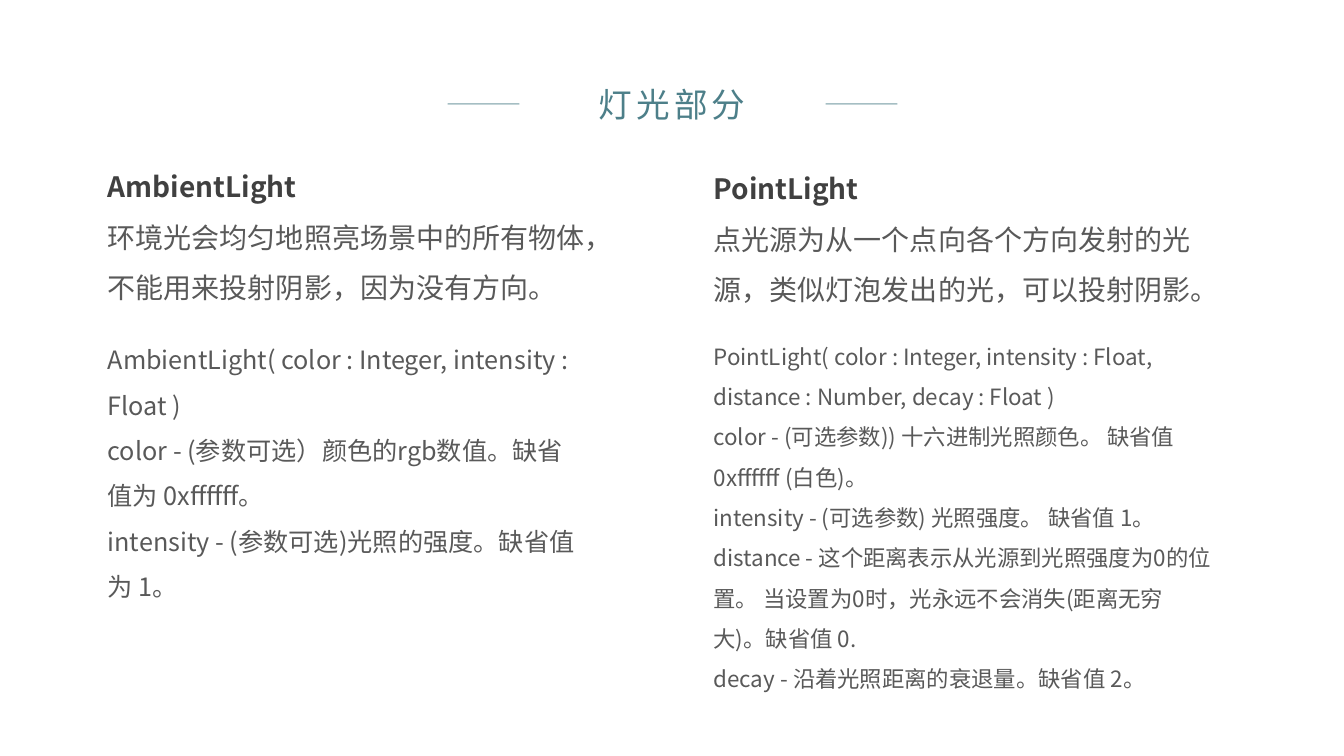
"""Build the slide on ambient light and point light."""
from dataclasses import dataclass

from lxml import etree
from pptx import Presentation
from pptx import util as u
from pptx.dml.color import RGBColor
from pptx.enum import shapes, text
from pptx.oxml import ns

FONT = "Noto Sans CJK SC"
TEAL, DARK, GREY = "4D7F89", "404040", "595959"


@dataclass
class Line:
    words: str
    size: int
    color: str = GREY
    bold: bool = False


@dataclass
class Block:
    left: float
    top: float
    width: float
    height: float
    lines: list[Line]


def paint(fmt, color: str) -> None:
    fmt.rgb = RGBColor.from_string(color)


def add_run(para, line: Line):
    run = para.add_run()
    run.text = line.words
    font = run.font
    font.name, font.size, font.bold = FONT, u.Pt(line.size), line.bold
    paint(font.color, line.color)
    etree.SubElement(run._r.get_or_add_rPr(), ns.qn("a:ea"), typeface=FONT)
    return run


def fill_box(box, block: Block, space: float) -> None:
    box.left, box.top = u.Inches(block.left), u.Inches(block.top)
    box.width, box.height = u.Inches(block.width), u.Inches(block.height)
    frame = box.text_frame
    frame.word_wrap = True
    frame.vertical_anchor = text.MSO_ANCHOR.TOP
    frame.auto_size = text.MSO_AUTO_SIZE.SHAPE_TO_FIT_TEXT
    for i, line in enumerate(block.lines):
        para = frame.add_paragraph() if i else frame.paragraphs[0]
        para.line_spacing = space
        add_run(para, line)


def add_title(slide, block: Block) -> None:
    title = slide.shapes.title
    fill_box(title, block, 1.0)
    para = title.text_frame.paragraphs[0]
    para.alignment = text.PP_ALIGN.CENTER
    para.runs[0]._r.get_or_add_rPr().set("spc", "300")


def add_rule(slide, left: float, top: float, width: float) -> None:
    rule = slide.shapes.add_connector(
        shapes.MSO_CONNECTOR.STRAIGHT, u.Inches(left), u.Inches(top),
        u.Inches(left + width), u.Inches(top))
    rule.line.width = u.Pt(1)
    paint(rule.line.color, TEAL)
    props = rule._element.spPr
    tint = props.find(".//" + ns.qn("a:srgbClr"))
    etree.SubElement(tint, ns.qn("a:alpha"), val="50000")
    etree.SubElement(props, ns.qn("a:effectLst"))


TITLE = Block(5.19, 0.78, 2.95, 0.5, [Line("灯光部分", 24, TEAL)])
BLOCKS = [
    Block(0.97, 1.47, 4.96, 1.56, [
        Line("AmbientLight", 20, DARK, True),
        Line("环境光会均匀地照亮场景中的所有物体，不能用来投射阴影，因为没有方向。", 20),
    ]),
    Block(0.97, 3.22, 4.93, 2.78, [
        Line("AmbientLight( color : Integer, intensity : Float )", 18),
        Line("color - (参数可选）颜色的rgb数值。缺省值为 0xffffff。", 18),
        Line("intensity - (参数可选)光照的强度。缺省值为 1。", 18),
    ]),
    Block(6.98, 1.49, 4.96, 1.56, [
        Line("PointLight", 20, DARK, True),
        Line("点光源为从一个点向各个方向发射的光源，类似灯泡发出的光，可以投射阴影。", 20),
    ]),
    Block(6.98, 3.22, 5.16, 3.69, [
        Line("PointLight( color : Integer, intensity : Float, "
             "distance : Number, decay : Float )", 16),
        Line("color - (可选参数)) 十六进制光照颜色。 缺省值 0xffffff (白色)。", 16),
        Line("intensity - (可选参数) 光照强度。 缺省值 1。", 16),
        Line("distance - 这个距离表示从光源到光照强度为0的位置。 "
             "当设置为0时，光永远不会消失(距离无穷大)。缺省值 0.", 16),
        Line("decay - 沿着光照距离的衰退量。缺省值 2。", 16),
    ]),
]


def main() -> None:
    deck = Presentation()
    deck.slide_width, deck.slide_height = u.Inches(13.33), u.Inches(7.5)
    slide = deck.slides.add_slide(deck.slide_layouts.get_by_name("Title Only"))
    add_title(slide, TITLE)
    for left in (4.44, 8.19):
        add_rule(slide, left, 1.03, 0.71)
    for block in BLOCKS:
        fill_box(slide.shapes.add_textbox(0, 0, 0, 0), block, 1.5)
    deck.save("out.pptx")


if __name__ == "__main__":
    main()
